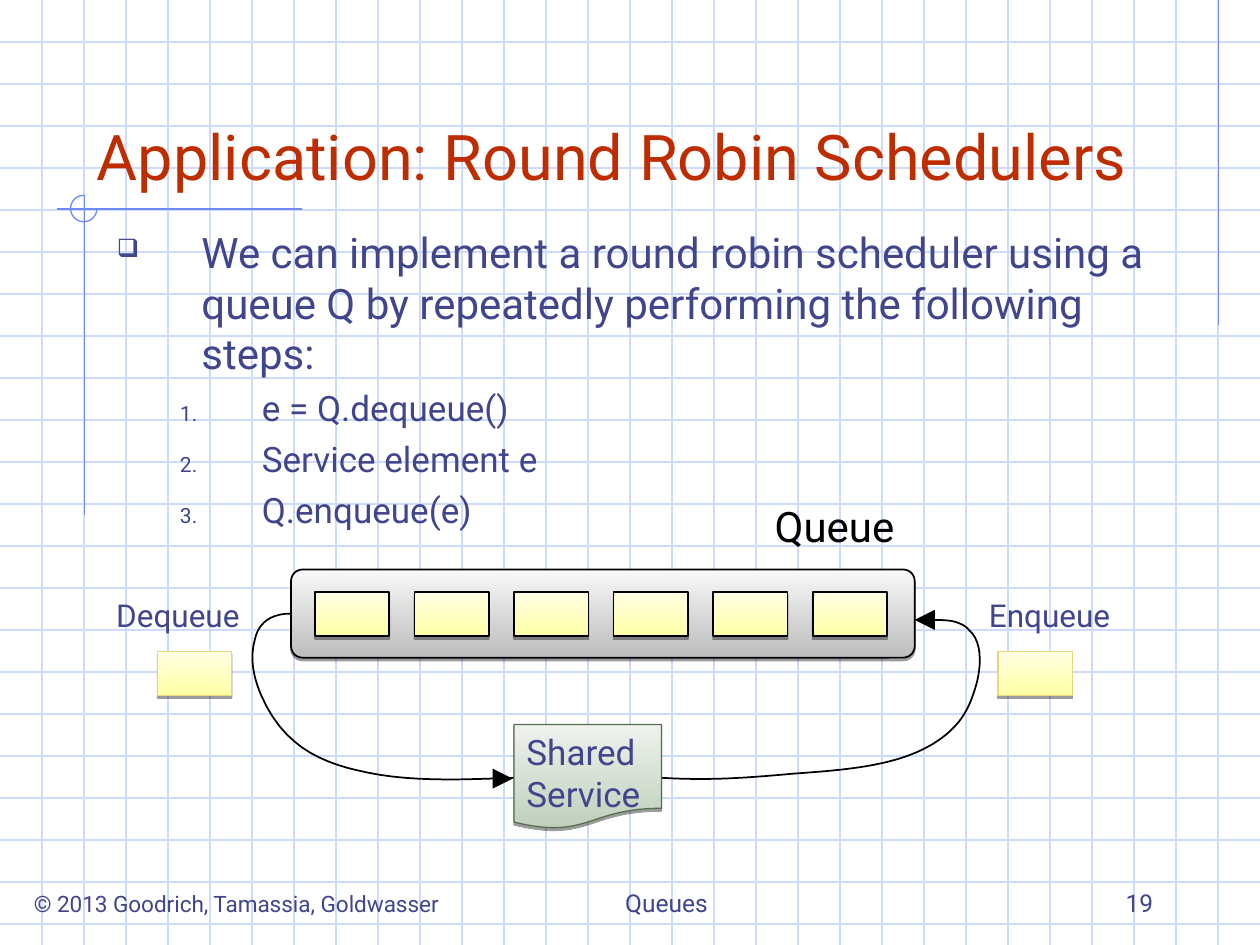
from dataclasses import dataclass
from lxml.etree import SubElement
from pptx import Presentation
from pptx.dml.color import RGBColor
from pptx.enum.shapes import MSO_CONNECTOR, MSO_SHAPE
from pptx.enum.text import MSO_ANCHOR, PP_ALIGN
from pptx.oxml.ns import qn
from pptx.util import Inches, Pt


@dataclass(frozen=True)
class Theme:
    font: str = "Roboto"
    ink: str = "40458C"
    title: str = "BE2D00"
    black: str = "000000"
    grid: str = "CFDBFD"
    accent: str = "6F89F7"
    item_line: str = "E9D57C"
    service_line: str = "546E4F"
    item_fill: tuple = ("FFFFE4", "FFFFA5")
    queue_fill: tuple = ("F8F8F8", "BDBDBD")
    service_fill: tuple = ("EEF2ED", "BFCFBC")
    title_size: float = 36
    body_size: float = 24
    step_size: float = 20
    label_size: float = 18
    footer_size: float = 14
    copyright_size: float = 12.9


class SlideBuilder:
    def __init__(self, slide, theme):
        self.slide = slide
        self.theme = theme

    def stroke(self, line, color, width):
        line.color.rgb = RGBColor.from_string(color)
        line.width = Pt(width)

    def style_runs(self, p, size, color):
        for r in p.runs:
            r.font.name = self.theme.font
            r.font.size = Pt(size)
            r.font.color.rgb = RGBColor.from_string(color)

    def line(self, x1, y1, x2, y2, color):
        cxn = self.slide.shapes.add_connector(
            MSO_CONNECTOR.STRAIGHT, Inches(x1), Inches(y1), Inches(x2), Inches(y2))
        self.stroke(cxn.line, color, 0.75)
        SubElement(cxn._element.spPr, qn("a:effectLst"))

    def shape(self, kind, x, y, w, h, color, width=0.75, fill=None):
        sp = self.slide.shapes.add_shape(kind, Inches(x), Inches(y), Inches(w), Inches(h))
        sp.shadow.inherit = False
        self.stroke(sp.line, color, width)
        if fill is None:
            sp.fill.background()
            return sp
        sp.fill.gradient()
        sp.fill.gradient_angle = 270
        for stop, stop_color in zip(sp.fill.gradient_stops, fill):
            stop.color.rgb = RGBColor.from_string(stop_color)
        effects = sp._element.spPr.find(qn("a:effectLst"))
        shadow = SubElement(effects, qn("a:outerShdw"), blurRad="0",
                            dist=str(Pt(1.6)), dir="5400000", rotWithShape="0")
        black = SubElement(shadow, qn("a:srgbClr"), val=self.theme.black)
        SubElement(black, qn("a:alpha"), val="38000")
        return sp

    def item(self, x, y, color, width=0.75):
        self.shape(MSO_SHAPE.RECTANGLE, x, y, 0.59, 0.35, color, width, self.theme.item_fill)

    def freeform(self, points, closed):
        emu = [(Inches(x), Inches(y)) for x, y in points]
        builder = self.slide.shapes.build_freeform(*emu[0])
        builder.add_line_segments(emu[1:], close=closed)
        sp = builder.convert_to_shape()
        sp.shadow.inherit = False
        return sp

    def curve(self, start, *segments, steps=12):
        points = [start]
        for c1, c2, end in segments:
            origin = points[-1]
            for i in range(1, steps + 1):
                t = i / steps
                weights = ((1 - t) ** 3, 3 * t * (1 - t) ** 2, 3 * t * t * (1 - t), t ** 3)
                knots = (origin, c1, c2, end)
                points.append(tuple(sum(k * q[axis] for k, q in zip(weights, knots))
                                    for axis in (0, 1)))
        sp = self.freeform(points, closed=False)
        sp.fill.background()
        self.stroke(sp.line, self.theme.black, 1)

    def arrowhead(self, tip_x, tip_y, base_x):
        sp = self.freeform([(base_x, tip_y - 0.08), (tip_x, tip_y), (base_x, tip_y + 0.08)],
                           closed=True)
        sp.fill.solid()
        sp.fill.fore_color.rgb = RGBColor.from_string(self.theme.black)
        sp.line.fill.background()

    def set_text(self, sp, text, size, color, align=PP_ALIGN.LEFT, anchor=MSO_ANCHOR.TOP):
        tf = sp.text_frame
        tf.word_wrap = True
        tf.vertical_anchor = anchor
        tf.text = text
        for p in tf.paragraphs:
            p.alignment = align
            self.style_runs(p, size, color)

    def text(self, x, y, w, h, text, size, color, **layout):
        sp = self.slide.shapes.add_textbox(Inches(x), Inches(y), Inches(w), Inches(h))
        self.set_text(sp, text, size, color, **layout)

    def bullets(self, x, y, w, h, lead, steps):
        t = self.theme
        sp = self.slide.shapes.add_textbox(Inches(x), Inches(y), Inches(w), Inches(h))
        tf = sp.text_frame
        tf.word_wrap = True
        self.bullet(tf.paragraphs[0], lead, t.body_size, 0.67, -0.67, "buChar", char="❑")
        for step in steps:
            p = tf.add_paragraph()
            p.level = 1
            self.bullet(p, step, t.step_size, 1.15, -0.65, "buAutoNum", type="arabicPeriod")
            p.space_before = Pt(5)

    def bullet(self, p, text, size, margin, indent, mark, **attrs):
        pPr = p._p.get_or_add_pPr()
        pPr.set("marL", str(Inches(margin)))
        pPr.set("indent", str(Inches(indent)))
        color = SubElement(pPr, qn("a:buClr"))
        SubElement(color, qn("a:srgbClr"), val=self.theme.ink)
        SubElement(pPr, qn("a:buSzPct"), val="60000")
        SubElement(pPr, qn(f"a:{mark}"), **attrs)
        p.text = text
        self.style_runs(p, size, self.theme.ink)


def main():
    """Build the round robin scheduler slide."""
    prs = Presentation()
    prs.slide_width, prs.slide_height = Inches(10), Inches(7.5)
    t = Theme()
    s = SlideBuilder(prs.slides.add_slide(prs.slide_layouts[6]), t)

    for i in range(1, 23):
        s.line(0, i / 3, 10, i / 3, t.grid)
    for i in range(1, 30):
        s.line(i / 3, 0, i / 3, 7.5, t.grid)
    s.line(9.67, 0, 9.67, 2.58, t.accent)
    s.line(2.4, 1.66, 0.45, 1.66, t.accent)
    s.line(0.67, 1.55, 0.67, 4.09, t.accent)
    arc = s.shape(MSO_SHAPE.ARC, 0.56, 1.55, 0.21, 0.21, t.accent)
    arc.adjustments[0], arc.adjustments[1] = 0, 162

    s.text(0.67, 0.33, 8.5, 1.25, "Application: Round Robin Schedulers",
           t.title_size, t.title, anchor=MSO_ANCHOR.BOTTOM)
    s.bullets(0.83, 1.75, 8.75, 2.67,
              "We can implement a round robin scheduler using a queue Q "
              "by repeatedly performing the following steps:",
              ["e = Q.dequeue()", "Service element e", "Q.enqueue(e)"])

    queue = s.shape(MSO_SHAPE.ROUNDED_RECTANGLE, 2.31, 4.52, 4.95, 0.7, t.black, 1, t.queue_fill)
    queue.adjustments[0] = 0.13
    for i in range(6):
        s.item(2.5 + i * 0.79, 4.7, t.black, 1)
    for x in (1.25, 7.92):
        s.item(x, 5.17, t.item_line)

    s.curve((2.31, 4.87),
            ((2.11, 4.87), (2.04, 4.98), (2.02, 5.09)),
            ((1.98, 5.24), (2.02, 5.39), (2.07, 5.51)),
            ((2.24, 5.91), (2.53, 6.04), (2.82, 6.11)),
            ((3.22, 6.21), (3.63, 6.19), (4.16, 6.17)))
    s.curve((5.19, 6.17),
            ((5.37, 6.18), (5.4, 6.18), (5.42, 6.18)),
            ((5.69, 6.19), (5.97, 6.17), (6.3, 6.14)),
            ((6.57, 6.12), (6.88, 6.1), (7.14, 6.02)),
            ((7.33, 5.96), (7.49, 5.87), (7.6, 5.74)),
            ((7.65, 5.68), (7.69, 5.61), (7.72, 5.52)),
            ((7.79, 5.34), (7.81, 5.1), (7.69, 5)),
            ((7.66, 4.96), (7.6, 4.94), (7.56, 4.93)),
            ((7.5, 4.92), (7.45, 4.92), (7.37, 4.92)))
    s.arrowhead(4.07, 6.18, 3.91)
    s.arrowhead(7.26, 4.92, 7.42)
    service = s.shape(MSO_SHAPE.FLOWCHART_DOCUMENT, 4.08, 5.75, 1.17, 0.83,
                      t.service_line, fill=t.service_fill)
    s.set_text(service, "Shared\vService", t.step_size, t.ink)

    s.text(6.05, 3.92, 1.25, 0.5, "Queue", t.body_size, t.black)
    s.text(7.75, 4.68, 2.08, 0.4, "Enqueue", t.label_size, t.ink)
    s.text(0.17, 4.68, 1.83, 0.4, "Dequeue", t.label_size, t.ink, align=PP_ALIGN.RIGHT)
    for x, w, text, size, align in (
            (0.17, 3.75, "© 2013 Goodrich, Tamassia, Goldwasser", t.copyright_size, PP_ALIGN.LEFT),
            (4, 2.58, "Queues", t.footer_size, PP_ALIGN.CENTER),
            (7.17, 2.08, "19", t.footer_size, PP_ALIGN.RIGHT)):
        s.text(x, 6.83, w, 0.5, text, size, t.ink, align=align, anchor=MSO_ANCHOR.BOTTOM)

    prs.save("out.pptx")


if __name__ == "__main__":
    main()
